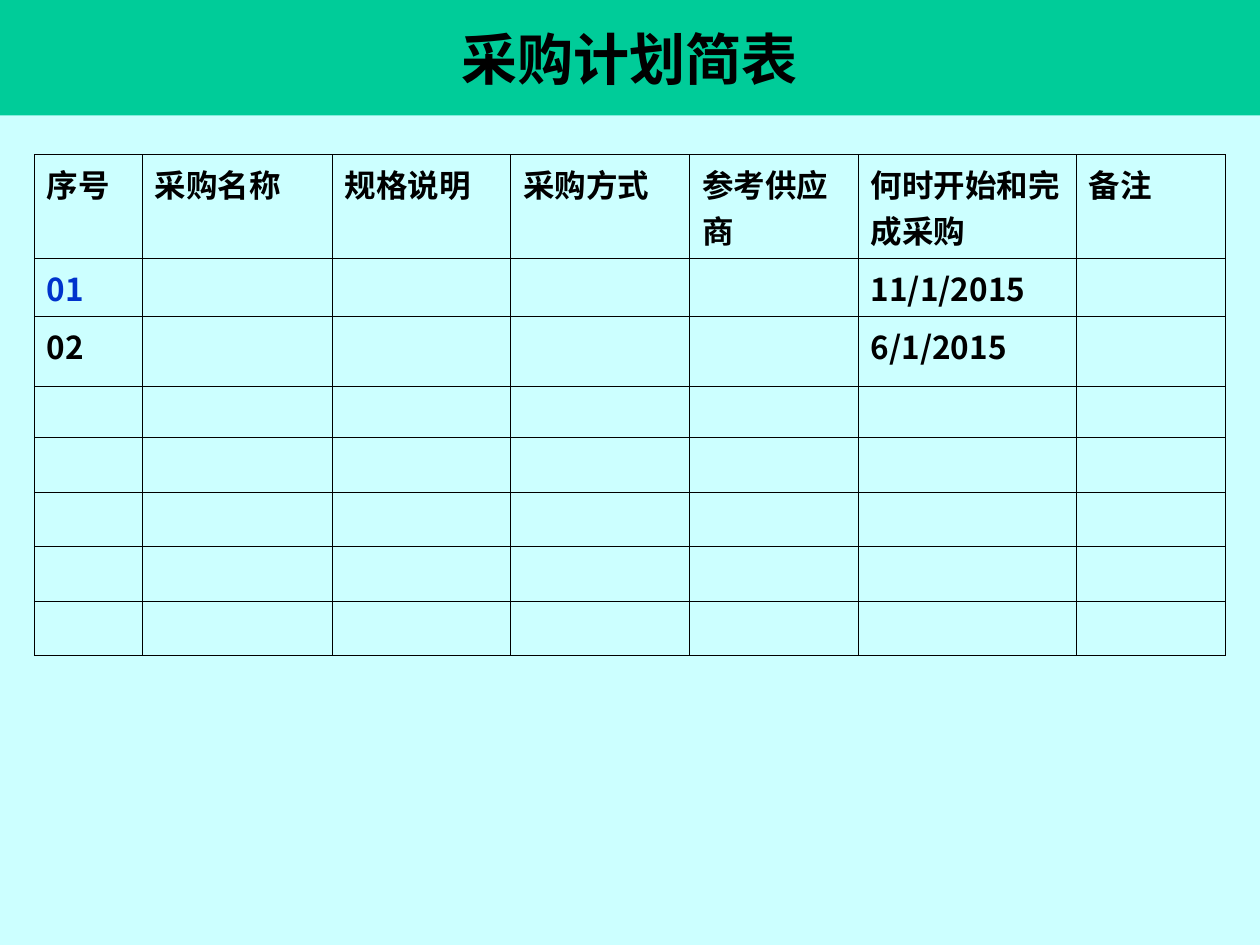
from dataclasses import dataclass

import pptx
import pptx.dml.color
import pptx.enum.shapes
import pptx.enum.text
import pptx.oxml.ns
import pptx.oxml.xmlchemy
import pptx.util
from lxml import etree

Cm = pptx.util.Cm
Pt = pptx.util.Pt
qn = pptx.oxml.ns.qn

SERIF = "Times New Roman"
SANS = "Arial"
CJK = "Noto Sans CJK SC"
BLACK = "000000"
BLUE = "0033CC"
HANGING = Cm(0.97)
COL_WIDTHS = (2.18, 3.83, 3.59, 3.61, 3.4, 4.39, 3.01)
ROW_HEIGHTS = (1.83, 1.17, 1.4, 1.02, 1.1, 1.1, 1.1, 1.1)


@dataclass
class Entry:
    row: int
    col: int
    text: str
    font: str = CJK
    color: str = BLACK
    hanging: bool = True


ENTRIES = [
    Entry(0, 0, "序号", SERIF),
    Entry(0, 1, "采购名称", SERIF),
    Entry(0, 2, "规格说明", SERIF, hanging=False),
    Entry(0, 3, "采购方式", SERIF),
    Entry(0, 4, "参考供应商", SANS, hanging=False),
    Entry(0, 5, "何时开始和完成采购", SERIF, hanging=False),
    Entry(0, 6, "备注", SANS),
    Entry(1, 0, "01", color=BLUE),
    Entry(1, 5, "11/1/2015"),
    Entry(2, 0, "02"),
    Entry(2, 5, "6/1/2015"),
]


def rgb(color: str) -> pptx.dml.color.RGBColor:
    return pptx.dml.color.RGBColor.from_string(color)


def add_run(p, text: str, size: float, font: str, color: str) -> None:
    r = p.add_run()
    r.text = text
    r.font.size = Pt(size)
    r.font.bold = True
    r.font.name = font
    r.font.color.rgb = rgb(color)
    ea = etree.SubElement(r.font._element, qn("a:ea"))
    ea.set("typeface", CJK)


def add_borders(cell, color: str, width: float) -> None:
    tc_pr = cell._tc.get_or_add_tcPr()
    for side in ("a:lnL", "a:lnR", "a:lnT", "a:lnB"):
        ln = etree.SubElement(tc_pr, qn(side), w=str(int(Pt(width))))
        fill = etree.SubElement(ln, qn("a:solidFill"))
        etree.SubElement(fill, qn("a:srgbClr"), val=color)


def add_title(s, text: str) -> None:
    sp = s.shapes.add_shape(
        pptx.enum.shapes.MSO_SHAPE.RECTANGLE, 0, 0, Cm(25.4), Cm(2.33)
    )
    sp.shadow.inherit = False
    sp.fill.solid()
    sp.fill.fore_color.rgb = rgb("00CC99")
    sp.line.fill.background()
    tf = sp.text_frame
    tf.word_wrap = True
    tf.vertical_anchor = pptx.enum.text.MSO_ANCHOR.MIDDLE
    p = tf.paragraphs[0]
    p.alignment = pptx.enum.text.PP_ALIGN.CENTER
    add_run(p, text, 32, SERIF, BLACK)


def add_plan_table(s, entries: list[Entry]) -> None:
    table = s.shapes.add_table(
        len(ROW_HEIGHTS), len(COL_WIDTHS), Cm(0.69), Cm(3.12),
        Cm(sum(COL_WIDTHS)), Cm(sum(ROW_HEIGHTS)),
    ).table
    table.first_row = False
    table.horz_banding = False
    for col, width in zip(table.columns, COL_WIDTHS):
        col.width = Cm(width)
    for row, height in zip(table.rows, ROW_HEIGHTS):
        row.height = Cm(height)
    for cell in table.iter_cells():
        add_borders(cell, BLACK, 0.45)
        cell.fill.background()
    for entry in entries:
        p = table.cell(entry.row, entry.col).text_frame.paragraphs[0]
        if entry.hanging:
            p_pr = p._p.get_or_add_pPr()
            p_pr.set("marL", str(int(HANGING)))
            p_pr.set("indent", str(-int(HANGING)))
        add_run(p, entry.text, 18, entry.font, entry.color)


def main() -> None:
    prs = pptx.Presentation()
    prs.slide_width = Cm(25.4)
    prs.slide_height = Cm(19.05)
    s = prs.slides.add_slide(prs.slide_layouts[6])
    s.background.fill.solid()
    s.background.fill.fore_color.rgb = rgb("CCFFFF")
    add_title(s, "采购计划简表")
    add_plan_table(s, ENTRIES)
    prs.save("out.pptx")


if __name__ == "__main__":
    main()
